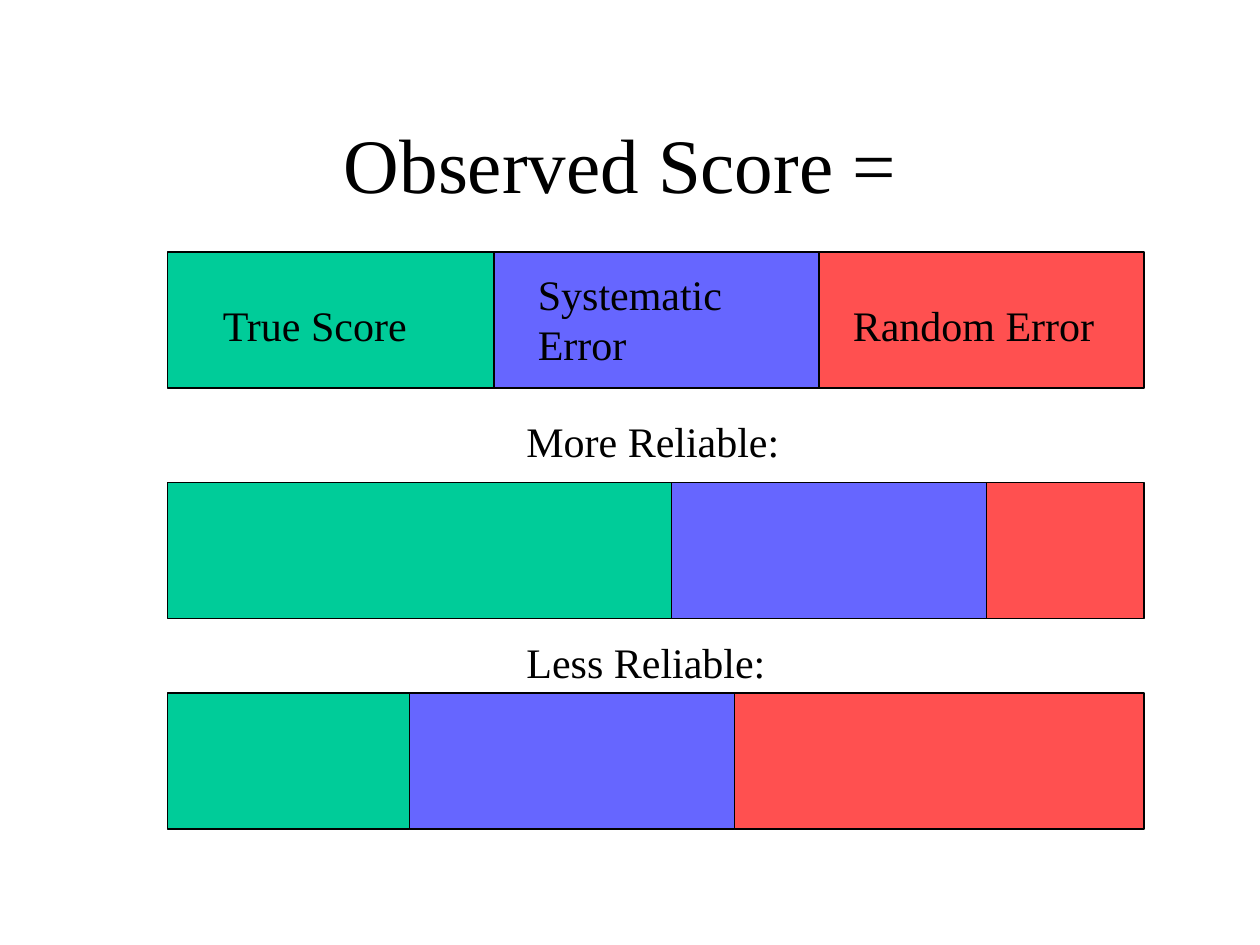
from pptx import Presentation
from pptx.dml.color import RGBColor
from pptx.enum.shapes import MSO_SHAPE
from pptx.enum.text import MSO_ANCHOR, PP_ALIGN
from pptx.util import Inches, Pt

# Content: edges run left to right; overlap is how far a segment
# reaches under the next one
TITLE = "Observed Score = "
BARS = [
    {"top": 2, "edges": (1.33, 3.92, 6.5, 9.08), "overlap": 0},
    {"top": 3.83, "edges": (1.33, 5.33, 7.83, 9.08), "overlap": 0.08},
    {"top": 5.5, "edges": (1.33, 3.25, 5.83, 9.08), "overlap": 0},
]
PART_LABELS = [
    ("True Score", (1.67, 2.33, 1.92, 0.5)),
    ("Systematic Error", (4.17, 2.08, 2.25, 0.9)),
    ("Random Error", (6.67, 2.33, 2.25, 0.5)),
]
CAPTIONS = [
    ("More Reliable:", (4.08, 3.25, 3, 0.5)),
    ("Less Reliable:", (4.08, 5, 2.42, 0.5)),
]

THEME = {
    "font": "Times New Roman",
    "title": Pt(44),
    "label": Pt(24),
    "ink": RGBColor(0, 0, 0),
    "line": Pt(0.75),
    "parts": [RGBColor.from_string(c) for c in ("00CC99", "6666FF", "FF5050")],
}
BAR_HEIGHT = 1.08


def style(p, size):
    for r in p.runs:
        r.font.name = THEME["font"]
        r.font.size = size
        r.font.color.rgb = THEME["ink"]


def add_bar(shapes, top, edges, overlap):
    last = len(edges) - 2
    for i, (left, right) in enumerate(zip(edges, edges[1:])):
        width = right - left + (overlap if i < last else 0)
        sp = shapes.add_shape(MSO_SHAPE.RECTANGLE, Inches(left), Inches(top),
                              Inches(width), Inches(BAR_HEIGHT))
        sp.shadow.inherit = False
        sp.fill.solid()
        sp.fill.fore_color.rgb = THEME["parts"][i]
        sp.line.color.rgb = THEME["ink"]
        sp.line.width = THEME["line"]


def add_label(shapes, text, box):
    sp = shapes.add_textbox(*map(Inches, box))
    tf = sp.text_frame
    tf.word_wrap = True
    tf.text = text
    style(tf.paragraphs[0], THEME["label"])


prs = Presentation()
prs.slide_width, prs.slide_height = Inches(10), Inches(7.5)
s = prs.slides.add_slide(prs.slide_layouts[5])

# Title
title = s.shapes.title
title.left, title.top, title.width, title.height = map(Inches, (0.75, 0.67, 8.5, 1.25))
tf = title.text_frame
tf.text = TITLE
tf.vertical_anchor = MSO_ANCHOR.MIDDLE
tf.paragraphs[0].alignment = PP_ALIGN.CENTER
style(tf.paragraphs[0], THEME["title"])

# Bars, one group each; the first carries the part names
groups = [s.shapes.add_group_shape() for _ in BARS]
for group, bar in zip(groups, BARS):
    add_bar(group.shapes, **bar)
for text, box in PART_LABELS:
    add_label(groups[0].shapes, text, box)

# Captions above the lower bars
for text, box in CAPTIONS:
    add_label(s.shapes, text, box)

prs.save("out.pptx")
